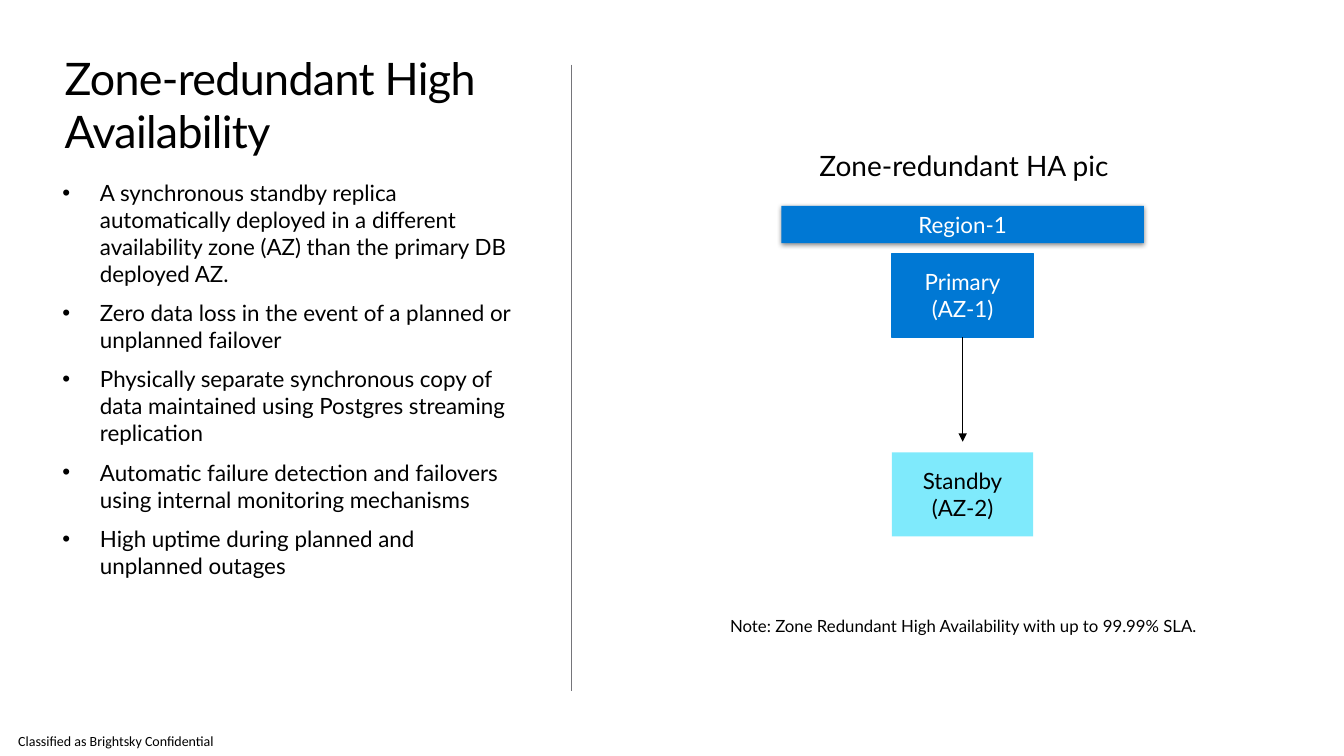
from lxml import etree
from pptx import Presentation
from pptx.dml.color import RGBColor
from pptx.enum.shapes import MSO_CONNECTOR, MSO_SHAPE
from pptx.enum.text import MSO_ANCHOR, PP_ALIGN
from pptx.oxml import parse_xml
from pptx.oxml.ns import nsdecls, qn
from pptx.util import Cm, Pt

BLACK = RGBColor(0x00, 0x00, 0x00)
WHITE = RGBColor(0xFF, 0xFF, 0xFF)
GREY = RGBColor(0x75, 0x75, 0x7A)
BLUE = RGBColor(0x00, 0x78, 0xD4)
CYAN = RGBColor(0x00, 0xD7, 0xFB)
RECTANGLE = MSO_SHAPE.RECTANGLE
STRAIGHT = MSO_CONNECTOR.STRAIGHT
TOP, MIDDLE = MSO_ANCHOR.TOP, MSO_ANCHOR.MIDDLE
LEFT, CENTER = PP_ALIGN.LEFT, PP_ALIGN.CENTER

BENEFITS = [
    "A synchronous standby replica automatically deployed in a different "
    "availability zone (AZ) than the primary DB deployed AZ.",
    "Zero data loss in the event of a planned or unplanned failover",
    "Physically separate synchronous copy of data maintained using Postgres "
    "streaming replication",
    "Automatic failure detection and failovers using internal monitoring mechanisms",
    "High uptime during planned and unplanned outages",
]


def write_lines(shape, lines, size, color=BLACK, font="Lato", align=LEFT, anchor=TOP):
    """Fill a shape with one paragraph per line and return the paragraphs."""
    frame = shape.text_frame
    frame.word_wrap = True
    frame.vertical_anchor = anchor
    for index, line in enumerate(lines):
        paragraph = frame.paragraphs[0] if index == 0 else frame.add_paragraph()
        paragraph.alignment = align
        run = paragraph.add_run()
        run.text = line
        run.font.name = font
        run.font.size = Pt(size)
        run.font.color.rgb = color
    return frame.paragraphs


def add_line(start, end, color):
    line = slide.shapes.add_connector(STRAIGHT, *start, *end)
    line.line.color.rgb = color
    line.line.width = Pt(1)
    etree.SubElement(line._element.spPr, qn("a:effectLst"))
    return line


presentation = Presentation()
presentation.slide_width = Cm(33.87)
presentation.slide_height = Cm(19.05)
slide = presentation.slides.add_slide(presentation.slide_layouts[6])

# Plain texts: left, top, width, height, text, size, font, anchor
labels = [
    (0.46, 18.31, 5.9, 0.74, "Classified as Brightsky Confidential", 10, "Calibri", MIDDLE),
    (1.63, 1.27, 14.15, 1.55, "Zone-redundant High Availability", 32, "Lato", TOP),
    (20.65, 3.73, 7.7, 0.89, "Zone-redundant HA pic", 20, "Lato", TOP),
    (18.4, 15.52, 12.2, 0.51,
     "Note: Zone Redundant High Availability with up to 99.99% SLA.", 12, "Lato", TOP),
]
for left, top, width, height, text, size, font, anchor in labels:
    label = slide.shapes.add_textbox(Cm(left), Cm(top), Cm(width), Cm(height))
    frame = label.text_frame
    frame.margin_left = frame.margin_right = frame.margin_top = frame.margin_bottom = 0
    paragraphs = write_lines(label, [text], size, font=font, anchor=anchor)
    if size == 32:
        paragraphs[0].runs[0].font._element.set("spc", "-50")

# Bulleted benefits beside the divider
add_line((Cm(14.4), Cm(1.63)), (Cm(14.4), Cm(17.42)), GREY)
benefits = slide.shapes.add_textbox(Cm(1.32), Cm(4.39), Cm(11.91), Cm(12.78))
for paragraph in write_lines(benefits, BENEFITS, 16):
    properties = paragraph._p.get_or_add_pPr()
    properties.set("marL", str(Cm(0.95)))
    properties.set("indent", str(-Cm(0.95)))
    etree.SubElement(properties, qn("a:buFont")).set("typeface", "Arial")
    etree.SubElement(properties, qn("a:buChar")).set("char", "•")
    paragraph.space_after = Pt(9)

# Region with its two zones, all centred on one axis
axis = 24.26
boxes = {}
for name, top, width, height, lines, fill, color in [
    ("primary", 6.38, 3.56, 2.12, ["Primary", "(AZ-1)"], BLUE, WHITE),
    ("standby", 11.4, 3.56, 2.12, ["Standby", "(AZ-2)"], CYAN, BLACK),
    ("region", 5.19, 9.14, 0.94, ["Region-1"], BLUE, WHITE),
]:
    box = slide.shapes.add_shape(
        RECTANGLE, Cm(axis - width / 2), Cm(top), Cm(width), Cm(height))
    box.shadow.inherit = False
    box.fill.solid()
    box.fill.fore_color.rgb = fill
    box.line.fill.background()
    write_lines(box, lines, 16, color, align=CENTER, anchor=MIDDLE)
    boxes[name] = box

boxes["primary"].line.color.rgb = BLUE
boxes["primary"].line.width = Pt(0.75)

standby_color = boxes["standby"]._element.spPr.find(qn("a:solidFill"))[0]
etree.SubElement(standby_color, qn("a:alpha")).set("val", "50000")

region_effects = boxes["region"]._element.spPr.find(qn("a:effectLst"))
region_effects.append(parse_xml(
    f'<a:outerShdw {nsdecls("a")} blurRad="{Pt(3.5)}" dist="{Pt(1.1)}" dir="5400000" '
    'algn="t" rotWithShape="0"><a:srgbClr val="000000"><a:alpha val="45000"/>'
    '</a:srgbClr></a:outerShdw>'))

# Replication arrow
arrow = add_line((Cm(axis), Cm(8.5)), (Cm(axis), Cm(11.13)), BLACK)
arrow.begin_connect(boxes["primary"], 2)
etree.SubElement(arrow.line._get_or_add_ln(), qn("a:tailEnd")).set("type", "triangle")

presentation.save("out.pptx")
